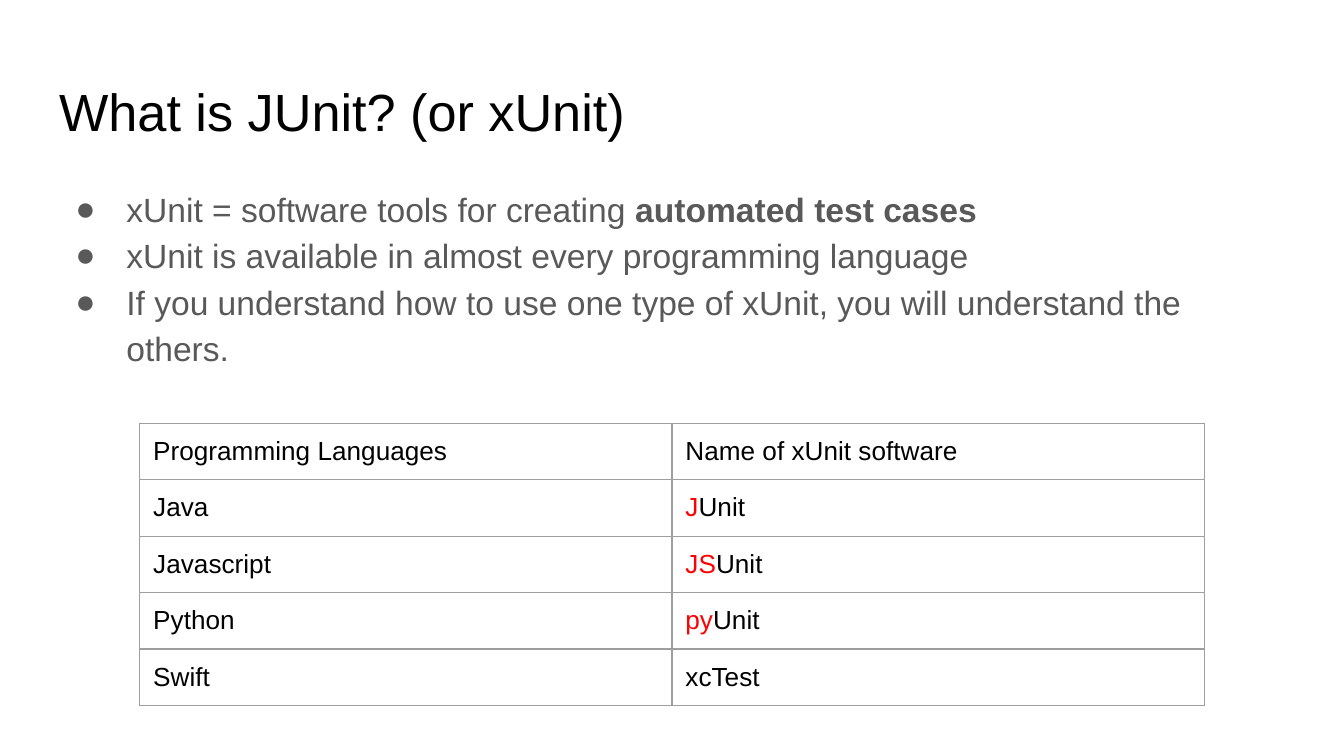
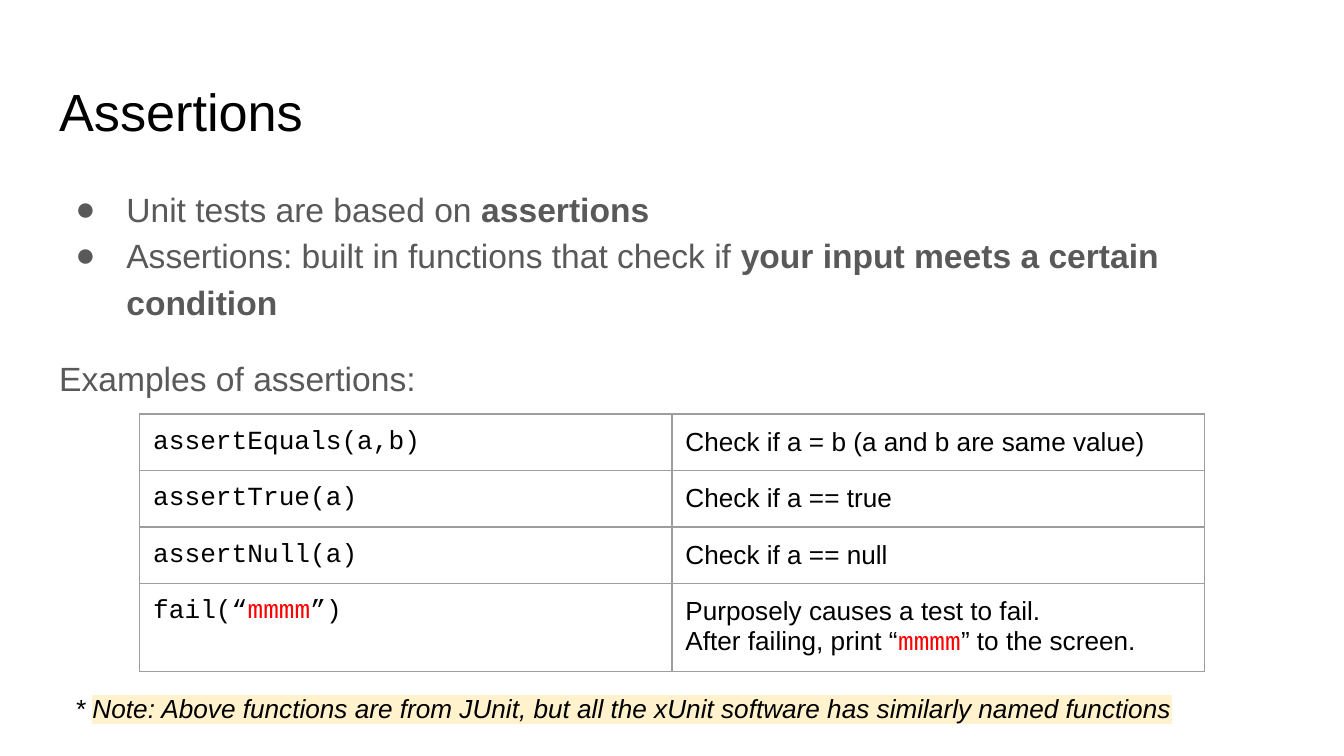
from lxml import etree
from pptx import Presentation
from pptx import util as u
from pptx.dml.color import RGBColor
from pptx.enum import text as t
from pptx.oxml import ns

BLACK = RGBColor(0x00, 0x00, 0x00)
GRAY = RGBColor(0x59, 0x59, 0x59)
RED = RGBColor(0xFF, 0x00, 0x00)
BORDER = RGBColor(0x9E, 0x9E, 0x9E)
CREAM = RGBColor(0xFF, 0xF2, 0xCC)
SANS, MONO = "Arial", "Courier New"
BOLD, ACCENT, CODE = {"bold": True}, {"color": RED}, {"font": MONO}


def element(tag, **attributes):
    return etree.Element(ns.qn(tag), attributes)


def color_element(tag, color):
    holder = element(tag)
    holder.append(element("a:srgbClr", val=str(color)))
    return holder


def write(paragraph, content, size=14, color=BLACK, font=SANS,
          bold=False, italic=False, highlight=None):
    run = paragraph.add_run()
    run.text = content
    run.font.size = u.Pt(size)
    run.font.name = font
    run.font.bold = bold
    run.font.italic = italic
    run.font.color.rgb = color
    if highlight is not None:
        fill = run.font._element.find(ns.qn("a:solidFill"))
        fill.addnext(color_element("a:highlight", highlight))


class Deck:
    margin = u.Inches(0.1)
    column_width = u.Inches(3.96)
    row_height = u.Inches(0.42)

    def __init__(self, presentation):
        self.presentation = presentation
        self.slide = None

    def new_slide(self, heading):
        layout = self.presentation.slide_layouts[1]
        self.slide = self.presentation.slides.add_slide(layout)
        title = self.slide.shapes.title
        self.place(title, 0.34, 0.49, 9.32, 0.63)
        self.fill_text(title.text_frame, [[(heading, {})]], size=28)

    def place(self, shape, left, top, width, height):
        shape.left, shape.top = u.Inches(left), u.Inches(top)
        shape.width, shape.height = u.Inches(width), u.Inches(height)

    def fill_text(self, frame, lines, **style):
        frame.word_wrap = True
        frame.auto_size = t.MSO_AUTO_SIZE.NONE
        frame.vertical_anchor = t.MSO_ANCHOR.TOP
        self.set_margins(frame)
        self.fill_lines(frame, lines, **style)

    def set_margins(self, holder):
        holder.margin_left = holder.margin_right = self.margin
        holder.margin_top = holder.margin_bottom = self.margin

    def fill_lines(self, frame, lines, **style):
        for index, runs in enumerate(lines):
            paragraph = frame.add_paragraph() if index else frame.paragraphs[0]
            paragraph.alignment = t.PP_ALIGN.LEFT
            for content, extra in runs:
                write(paragraph, content, **{**style, **extra})

    def body(self, height, bullets, closing=None):
        body = self.slide.placeholders[1]
        self.place(body, 0.34, 1.26, 9.32, height)
        lines = bullets + ([closing] if closing else [])
        self.fill_text(body.text_frame, lines, size=18, color=GRAY)
        for index, paragraph in enumerate(body.text_frame.paragraphs):
            bulleted = index < len(bullets)
            paragraph.line_spacing = 1.15
            paragraph.space_before = u.Pt(0 if bulleted else 16)
            self.indent(paragraph, bulleted)

    def indent(self, paragraph, bulleted):
        properties = paragraph._p.get_or_add_pPr()
        properties.set("marL", str(u.Inches(0.5 if bulleted else 0)))
        properties.set("indent", str(u.Inches(-0.38 if bulleted else 0)))
        if bulleted:
            properties.append(color_element("a:buClr", GRAY))
            properties.append(element("a:buFont", typeface=SANS))
            properties.append(element("a:buChar", char="●"))
        else:
            properties.append(element("a:buNone"))

    def table(self, top, rows):
        columns = len(rows[0])
        table = self.slide.shapes.add_table(
            len(rows), columns, u.Inches(1.04), u.Inches(top),
            self.column_width * columns, self.row_height * len(rows)).table
        table.first_row = table.horz_banding = False
        for row, values in zip(table.rows, rows):
            for cell, lines in zip(row.cells, values):
                self.set_margins(cell)
                cell.fill.background()
                self.outline(cell)
                self.fill_lines(cell.text_frame, lines)

    def outline(self, cell):
        properties = cell._tc.get_or_add_tcPr()
        for position, side in enumerate("LRTB"):
            line = element("a:ln" + side, w=str(u.Pt(0.75)))
            line.append(color_element("a:solidFill", BORDER))
            properties.insert(position, line)

    def note(self, runs):
        box = self.slide.shapes.add_textbox(
            u.Inches(0.46), u.Inches(5.05), u.Inches(8.75), u.Inches(0.39))
        self.fill_text(box.text_frame, [runs], italic=True)


def plain(content):
    return [[(content, {})]]


def code(content):
    return [[(content, CODE)]]


def unit_name(prefix):
    return [[(prefix, ACCENT), ("Unit", {})]]


def build_overview(deck):
    deck.new_slide("What is JUnit? (or xUnit)")
    deck.body(1.6, [
        [("xUnit = software tools for creating ", {}), ("automated test cases", BOLD)],
        [("xUnit is available in almost every programming language", {})],
        [("If you understand how to use one type of xUnit, "
          "you will understand the others.", {})],
    ])
    deck.table(3.15, [
        [plain("Programming Languages"), plain("Name of xUnit software")],
        [plain("Java"), unit_name("J")],
        [plain("Javascript"), unit_name("JS")],
        [plain("Python"), unit_name("py")],
        [plain("Swift"), plain("xcTest")],
    ])


def build_assertions(deck):
    message = ("mmmm", {**CODE, **ACCENT})
    deck.new_slide("Assertions")
    deck.body(1.54, [
        [("Unit tests are based on ", {}), ("assertions", BOLD)],
        [("Assertions: built in functions that check if ", {}),
         ("your input meets a certain condition", BOLD)],
    ], closing=[("Examples of assertions:", {})])
    deck.table(3.08, [
        [code("assertEquals(a,b)"), plain("Check if a = b (a and b are same value)")],
        [code("assertTrue(a)"), plain("Check if a == true")],
        [code("assertNull(a)"), plain("Check if a == null")],
        [[[("fail(“", CODE), message, ("”)", CODE)]],
         [[("Purposely causes a test to fail.", {})],
          [("After failing, print “", {}), message, ("” to the screen.", {})]]],
    ])
    deck.note([
        ("* ", {}),
        ("Note: Above functions are from JUnit, but all the xUnit software "
         "has similarly named functions", {"highlight": CREAM}),
    ])


def main():
    presentation = Presentation()
    presentation.slide_width = u.Inches(10)
    presentation.slide_height = u.Emu(presentation.slide_width * 9 // 16)
    deck = Deck(presentation)
    build_overview(deck)
    build_assertions(deck)
    presentation.save("out.pptx")


if __name__ == "__main__":
    main()
